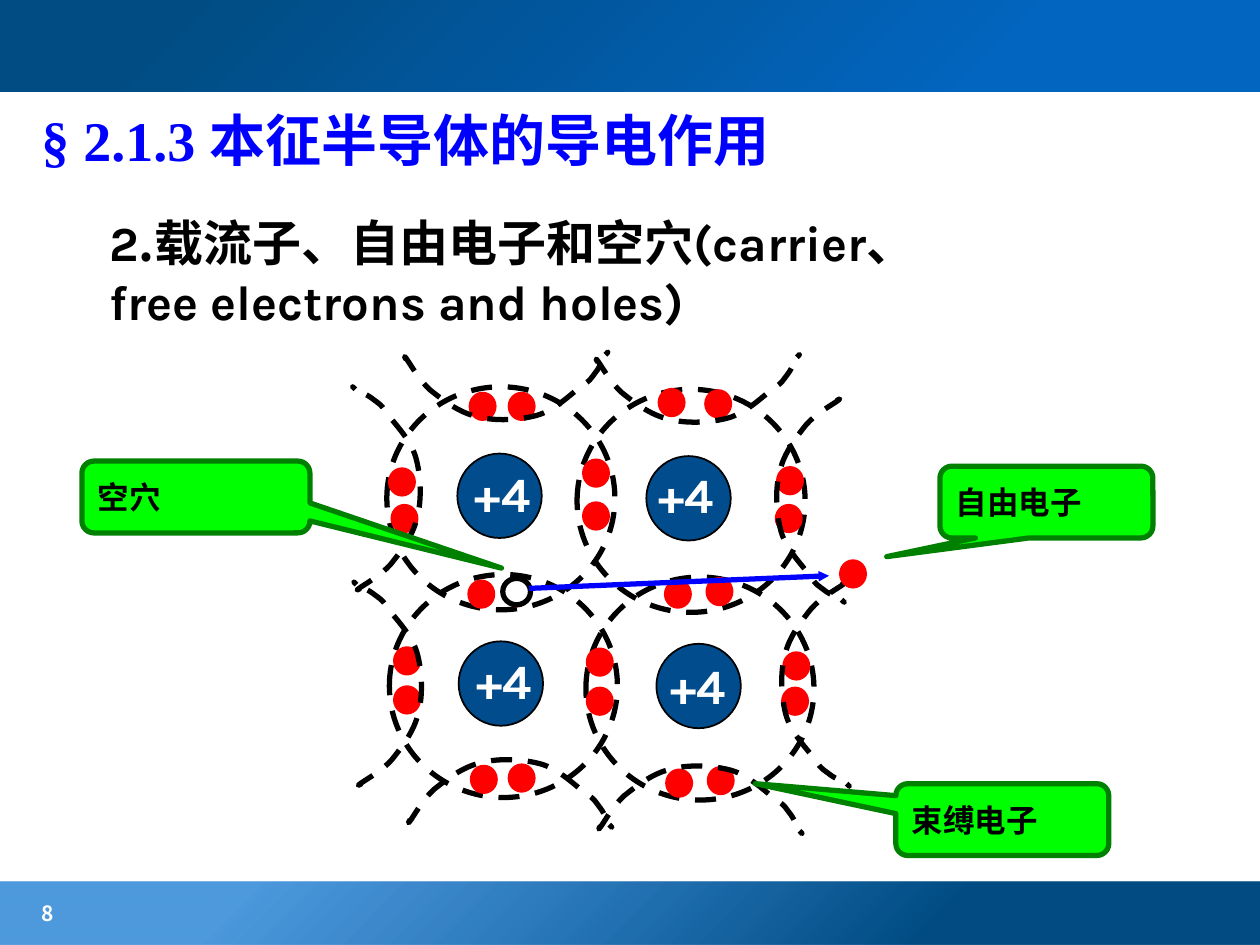
from lxml.etree import SubElement
from pptx import Presentation
from pptx.dml.color import RGBColor
from pptx.enum.dml import MSO_LINE
from pptx.enum.shapes import MSO_CONNECTOR, MSO_SHAPE
from pptx.enum.text import MSO_ANCHOR, PP_ALIGN
from pptx.oxml.ns import qn
from pptx.util import Cm, Pt

COLORS = {
    "navy": "014C83", "sky": "026DCE", "azure": "0265BF", "atom": "014C8D",
    "electron": "FF0000", "black": "000000", "white": "FFFFFF",
    "blue": "0000FF", "lime": "00FF00", "green": "008000",
}
KARLA, CJK, TIMES = "Karla", "Noto Sans CJK SC", "Times New Roman"

# Offsets below are inches from the corner of the lattice.
ATOMS = [(1.13, 1.10), (2.63, 1.12), (1.14, 2.59), (2.71, 2.61)]
ATOM_LABELS = [(1.17, 1.13), (2.63, 1.14), (1.18, 2.61), (2.72, 2.65)]
RINGS = [(0.57, 0.57), (2.08, 0.59), (0.59, 2.06), (2.15, 2.08)]
ELECTRONS = [
    (1.24, 0.63), (1.55, 0.63), (2.74, 0.60), (3.11, 0.61),
    (0.60, 1.23), (0.62, 1.52), (2.14, 1.16), (2.14, 1.50),
    (3.68, 1.22), (3.67, 1.52), (1.23, 2.12), (1.51, 2.11),
    (2.79, 2.12), (3.12, 2.10), (0.64, 2.65), (0.64, 2.96),
    (2.17, 2.66), (2.17, 2.97), (3.73, 2.69), (3.72, 2.97),
    (1.25, 3.59), (1.55, 3.58), (2.80, 3.62), (3.13, 3.60),
]
FREE_ELECTRON = (4.18, 1.96)
# left, top, horizontal sign, vertical sign, rotation
ARCS = [
    (3.65, 0.65, 1, 1, 0), (3.69, 2.11, 1, 1, 0),
    (1.23, -0.25, 1, 1, 270), (2.75, -0.23, 1, 1, 270),
    (1.26, 2.98, 1, -1, 90), (2.77, 3.03, 1, -1, 90),
    (0.29, 0.57, -1, -1, 0), (0.30, 2.12, -1, -1, 0),
]
ARC_SIZE = (0.56, 1.63)
# The start, then two control points and an end for each Bezier curve.
ARC_POINTS = [
    (0.49, 0.03),
    (0.49, 0.03), (0.54, 0), (0.50, 0.03),
    (0.46, 0.06), (0.33, 0.13), (0.25, 0.22),
    (0.17, 0.32), (0.07, 0.45), (0.04, 0.59),
    (0, 0.73), (0.01, 0.93), (0.05, 1.07),
    (0.09, 1.21), (0.22, 1.34), (0.28, 1.42),
    (0.33, 1.50), (0.35, 1.50), (0.40, 1.54),
    (0.44, 1.57), (0.51, 1.60), (0.53, 1.61),
    (0.56, 1.63), (0.55, 1.63), (0.55, 1.63),
    (0.55, 1.63), (0.54, 1.62), (0.53, 1.61),
]


def inches(value):
    return Cm(value * 2.54)


def rgb(name):
    return RGBColor.from_string(COLORS[name])


def style(shape, fill=None, line=None, width=3, dashed=False):
    shape.shadow.inherit = False
    if fill:
        shape.fill.solid()
        shape.fill.fore_color.rgb = rgb(fill)
    else:
        shape.fill.background()
    if line:
        shape.line.color.rgb = rgb(line)
        shape.line.width = Pt(width)
        if dashed:
            shape.line.dash_style = MSO_LINE.DASH
    else:
        shape.line.fill.background()


def add_preset(page, kind, box, **look):
    shape = page.shapes.add_shape(kind, *map(inches, box))
    style(shape, **look)
    return shape


def write(shape, spans, size, color, anchor=MSO_ANCHOR.MIDDLE):
    """Fill a shape with one paragraph of (text, font) spans."""
    frame = shape.text_frame
    frame.word_wrap = True
    frame.vertical_anchor = anchor
    para = frame.paragraphs[0]
    para.alignment = PP_ALIGN.LEFT
    for text, face in spans:
        span = para.add_run()
        span.text = text
        span.font.name = face
        span.font.size = Pt(size)
        span.font.bold = True
        span.font.color.rgb = rgb(color)
        east_asian = SubElement(span.font._element, qn("a:ea"))
        east_asian.set("typeface", CJK)


def add_text(page, box, spans, size, color, anchor=MSO_ANCHOR.MIDDLE):
    write(page.shapes.add_textbox(*map(inches, box)), spans, size, color, anchor)


def add_band(page, box, stops):
    """Draw a bar with a radial gradient spreading from its lower right corner."""
    bar = add_preset(page, MSO_SHAPE.RECTANGLE, box)
    properties = bar._element.spPr
    gradient = SubElement(properties, qn("a:gradFill"), rotWithShape="1")
    properties.replace(properties.find(qn("a:noFill")), gradient)
    stop_list = SubElement(gradient, qn("a:gsLst"))
    for position, color, opacity in stops:
        stop = SubElement(stop_list, qn("a:gs"), pos=str(position * 1000))
        tint = SubElement(stop, qn("a:srgbClr"), val=COLORS[color])
        if opacity < 100:
            SubElement(tint, qn("a:alpha"), val=str(opacity * 1000))
    route = SubElement(gradient, qn("a:path"), path="circle")
    SubElement(route, qn("a:fillToRect"), l="100000", t="100000")


def curve_segments(shape):
    """Turn each three line segments of a freeform into one Bezier curve."""
    outline = next(shape._element.iter(qn("a:path")))
    segments = outline.findall(qn("a:lnTo"))
    for index in range(0, len(segments), 3):
        curve = SubElement(outline, qn("a:cubicBezTo"))
        for segment in segments[index:index + 3]:
            curve.append(segment[0])
            outline.remove(segment)


def add_arc(page, left, top, x_sign, y_sign, rotation):
    width, height = ARC_SIZE
    points = [(inches(left + (x if x_sign > 0 else width - x)),
               inches(top + (y if y_sign > 0 else height - y)))
              for x, y in ARC_POINTS]
    builder = page.shapes.build_freeform(*points[0])
    builder.add_line_segments(points[1:], close=False)
    arc = builder.convert_to_shape()
    curve_segments(arc)
    style(arc, line="black", dashed=True)
    arc.rotation = rotation


def add_arrow(page, start, end):
    arrow = page.shapes.add_connector(
        MSO_CONNECTOR.STRAIGHT, *map(inches, (*start, *end)))
    arrow.line.color.rgb = rgb("blue")
    arrow.line.width = Pt(3)
    SubElement(arrow.line._get_or_add_ln(), qn("a:tailEnd"),
               type="triangle", w="sm", len="sm")
    SubElement(arrow._element.spPr, qn("a:effectLst"))


def add_lattice(page, left, top):
    def place(offset, *size):
        return (left + offset[0], top + offset[1], *size)

    def add_electron(group, offset):
        add_preset(group, oval, place(offset, 0.18, 0.19), fill="electron", line="electron")

    oval = MSO_SHAPE.OVAL
    crystal = page.shapes.add_group_shape()
    for atom in ATOMS:
        add_preset(crystal, oval, place(atom, 0.67, 0.67), fill="atom", line="black", width=1)
    for ring in RINGS:
        add_preset(crystal, oval, place(ring, 1.81, 1.77), line="black", dashed=True)
    for electron in ELECTRONS:
        add_electron(crystal, electron)
    for x, y, *turn in ARCS:
        add_arc(crystal, left + x, top + y, *turn)
    for label in ATOM_LABELS:
        add_text(crystal, place(label, 0.77, 0.57), [("+4", KARLA)], 28, "white", MSO_ANCHOR.TOP)

    escape = page.shapes.add_group_shape()
    add_electron(escape, FREE_ELECTRON)
    add_preset(escape, oval, place((1.49, 2.09), 0.22, 0.21), fill="white", line="black")
    add_arrow(escape, place((1.70, 2.17)), place((4.08, 2.07)))


def add_callout(page, box, text, tip):
    callout = add_preset(page, MSO_SHAPE.ROUNDED_RECTANGULAR_CALLOUT, box,
                         fill="lime", line="green")
    callout.adjustments[0], callout.adjustments[1] = tip
    write(callout, [(text, KARLA)], 18, "black")


def add_frame(page):
    add_band(page, (0, 7, 10, 0.5), [(26, "navy", 100), (80, "sky", 70)])
    add_band(page, (0, -0.03, 10, 0.76), [(21, "azure", 100), (86, "navy", 100)])
    add_text(page, (0.23, 7.09, 1.54, 0.31), [("8", CJK)], 12, "white")


def add_headings(page):
    add_text(page, (0.23, 0.5, 8.5, 1.21),
             [("§ 2.1.3 ", TIMES), ("本征半导体的导电作用", CJK)], 32, "blue")
    add_text(page, (0.77, 1.63, 7.1, 1.05),
             [("2", KARLA), (".载流子、自由电子和空穴", CJK),
              ("(carrier、free electrons and holes)", KARLA)], 28, "black")


def main():
    deck = Presentation()
    deck.slide_width, deck.slide_height = inches(10), inches(7.5)
    page = deck.slides.add_slide(deck.slide_layouts[6])
    add_frame(page)
    add_headings(page)
    add_lattice(page, 2.5, 2.5)
    add_callout(page, (7.46, 3.7, 1.69, 0.57), "自由电子", (-0.75, 0.76))
    add_callout(page, (0.65, 3.66, 1.81, 0.57), "空穴", (1.34, 0.99))
    add_callout(page, (7.11, 6.22, 1.69, 0.57), "束缚电子", (-1.16, -0.5))
    deck.save("out.pptx")


if __name__ == "__main__":
    main()
